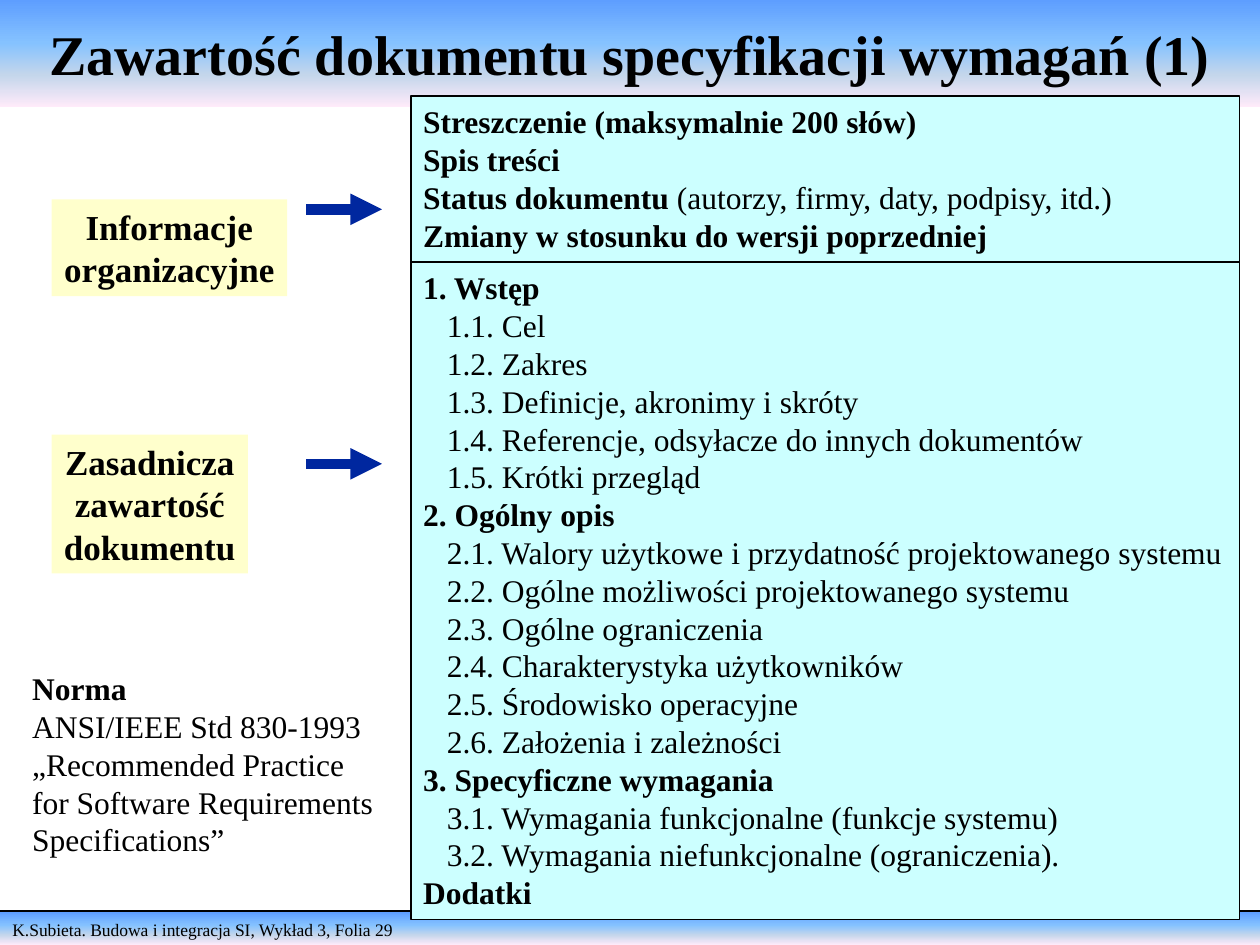
"""Build the slide on the contents of a requirements specification document."""
from copy import deepcopy

from lxml.etree import SubElement
from pptx import Presentation
from pptx.dml.color import RGBColor
from pptx.enum.shapes import MSO_CONNECTOR, MSO_SHAPE
from pptx.enum.text import MSO_ANCHOR, MSO_AUTO_SIZE, PP_ALIGN
from pptx.oxml.ns import qn
from pptx.util import Cm, Pt

color = RGBColor.from_string
BLACK, AQUA, CREAM, NAVY = "000000", "CCFFFF", "FFFFCC", "00279F"
SKY = [(0, "5E9EFF"), (40, "85C2FF"), (70, "C4D6EB"), (100, "FFEBFA")]


def write(shape, lines, size, align=PP_ALIGN.LEFT, indent=0, wrap=True, anchor=MSO_ANCHOR.TOP):
    """Fill a shape with lines, each holding bold text, a bar and plain text."""
    frame = shape.text_frame
    look = {"word_wrap": wrap, "auto_size": MSO_AUTO_SIZE.NONE, "vertical_anchor": anchor,
            "margin_left": Cm(0.25), "margin_right": Cm(0.25),
            "margin_top": Cm(0.13), "margin_bottom": Cm(0.13)}
    for name, value in look.items():
        setattr(frame, name, value)
    for i, line in enumerate(lines):
        para = frame.add_paragraph() if i else frame.paragraphs[0]
        para.alignment = align
        strong, plain = line.split("|")
        if indent and not strong:
            para._p.get_or_add_pPr().set("marL", str(Cm(indent)))
        for text, bold in ((strong, True), (plain, False)):
            if text:
                run = para.add_run()
                run.text = text
                for name, value in {"name": "Times New Roman", "size": Pt(size), "bold": bold}.items():
                    setattr(run.font, name, value)
                run.font.color.rgb = color(BLACK)


def shade(shape):
    """Give a shape the vertical sky gradient."""
    shape.fill.gradient()
    shape.fill.gradient_angle = 270
    stops = shape.fill._fill._gradFill.gsLst
    first = deepcopy(stops[0])
    for stop in list(stops):
        stops.remove(stop)
    for _ in SKY:
        stops.append(deepcopy(first))
    for stop, (place, tone) in zip(shape.fill.gradient_stops, SKY):
        stop.position = place / 100
        stop.color.rgb = color(tone)


deck = Presentation()
deck.slide_width, deck.slide_height = Cm(25.4), Cm(19.05)
slide = deck.slides.add_slide(deck.slide_layouts[5])
shapes = slide.shapes

title = shapes.title
for name, value in {"left": 0, "top": 0, "width": Cm(25.4), "height": Cm(2.16)}.items():
    setattr(title, name, value)
shade(title)
write(title, ["Zawartość dokumentu specyfikacji wymagań (1)|"], 32,
      PP_ALIGN.CENTER, anchor=MSO_ANCHOR.MIDDLE)

foot = shapes.add_shape(MSO_SHAPE.RECTANGLE, 0, Cm(18.39), Cm(25.4), Cm(0.66))
foot.shadow.inherit = False
foot.line.fill.background()
shade(foot)
write(foot, ["|K.Subieta. Budowa i integracja SI, Wykład 3, Folia 29"], 10)

rules = [
    (0, 25.4, 18.36, BLACK, 1, False),
    (6.17, 7.7, 4.22, NAVY, 6, True),
    (6.17, 7.7, 9.35, NAVY, 6, True),
]
for start, end, y, tone, width, arrow in rules:
    rule = shapes.add_connector(MSO_CONNECTOR.STRAIGHT, Cm(start), Cm(y), Cm(end), Cm(y))
    rule.line.color.rgb = color(tone)
    rule.line.width = Pt(width)
    if arrow:
        SubElement(rule.line._get_or_add_ln(), qn("a:tailEnd"), type="triangle")
    SubElement(rule._element.spPr, qn("a:effectLst"))

status = [
    "Streszczenie (maksymalnie 200 słów)|",
    "Spis treści|",
    "Status dokumentu |(autorzy, firmy, daty, podpisy, itd.)",
    "Zmiany w stosunku do wersji poprzedniej|",
]
body = [
    "1. Wstęp|",
    "|1.1. Cel",
    "|1.2. Zakres",
    "|1.3. Definicje, akronimy i skróty",
    "|1.4. Referencje, odsyłacze do innych dokumentów",
    "|1.5. Krótki przegląd",
    "2. Ogólny opis|",
    "|2.1. Walory użytkowe i przydatność projektowanego systemu",
    "|2.2. Ogólne możliwości projektowanego systemu",
    "|2.3. Ogólne ograniczenia",
    "|2.4. Charakterystyka użytkowników",
    "|2.5. Środowisko operacyjne",
    "|2.6. Założenia i zależności",
    "3. Specyficzne wymagania|",
    "|3.1. Wymagania funkcjonalne (funkcje systemu)",
    "|3.2. Wymagania niefunkcjonalne (ograniczenia).",
    "Dodatki|",
]
left, mid = PP_ALIGN.LEFT, PP_ALIGN.CENTER
boxes = [
    ((8.28, 1.93, 16.71, 3.35), AQUA, True, status, 18, left, 0),
    ((8.28, 5.28, 16.71, 13.26), AQUA, True, body, 18, left, 0.48),
    ((1.04, 4.02, 4.75, 1.95), CREAM, False, ["Informacje|", "organizacyjne|"], 20, mid, 0),
    ((1.04, 8.76, 3.96, 2.8), CREAM, False,
     ["Zasadnicza|", "zawartość|", "dokumentu|"], 20, mid, 0),
]
for place, tone, edge, lines, size, align, indent in boxes:
    box = shapes.add_shape(MSO_SHAPE.RECTANGLE, *map(Cm, place))
    box.shadow.inherit = False
    box.fill.solid()
    box.fill.fore_color.rgb = color(tone)
    if edge:
        box.line.color.rgb = color(BLACK)
        box.line.width = Pt(1)
    else:
        box.line.fill.background()
    write(box, lines, size, align, indent, wrap=edge)

norm = shapes.add_textbox(Cm(0.4), Cm(13.36), Cm(7.65), Cm(4.06))
write(norm, ["Norma|", "|ANSI/IEEE Std 830-1993",
             "|„Recommended Practice for Software Requirements Specifications”"], 18)

deck.save("out.pptx")
